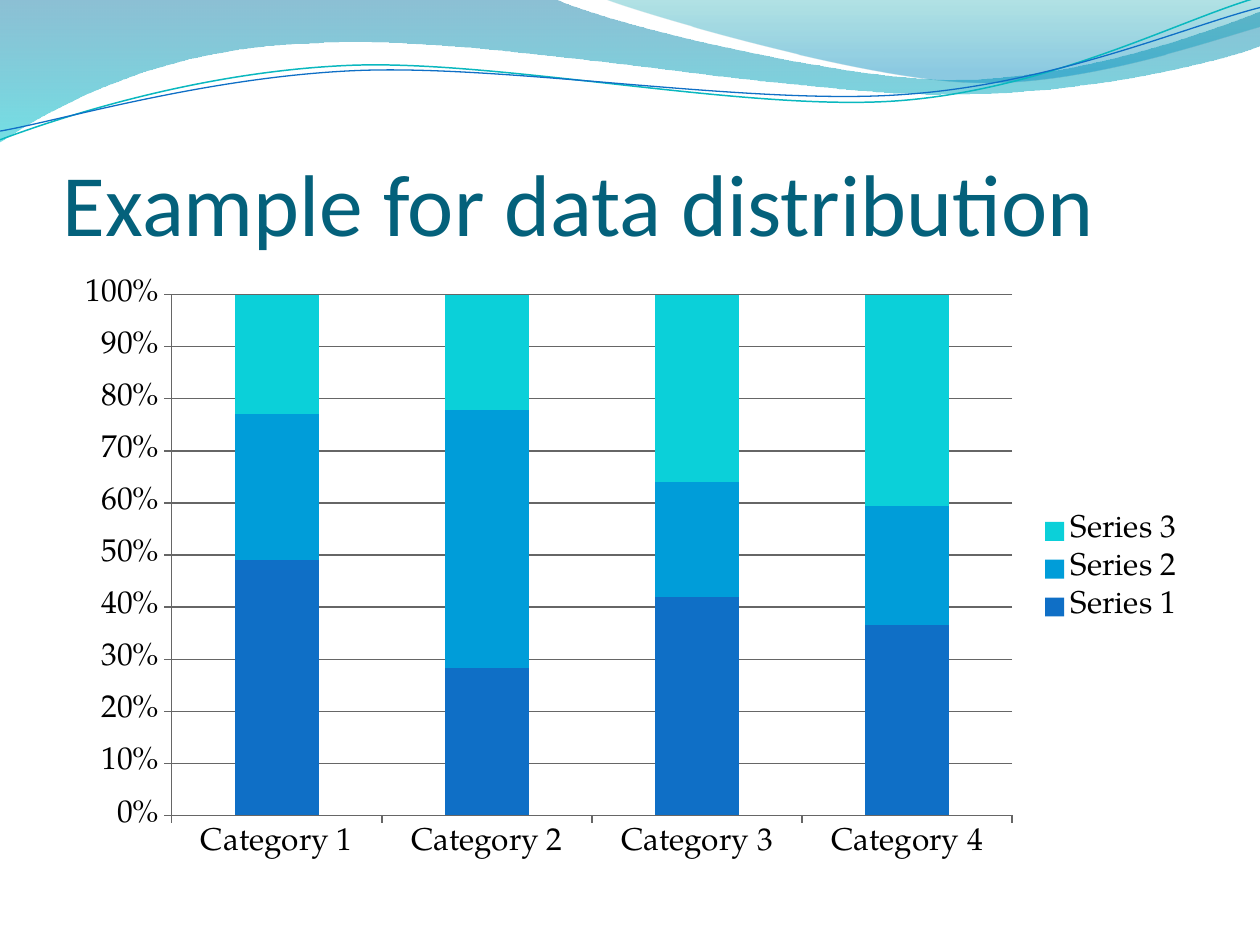
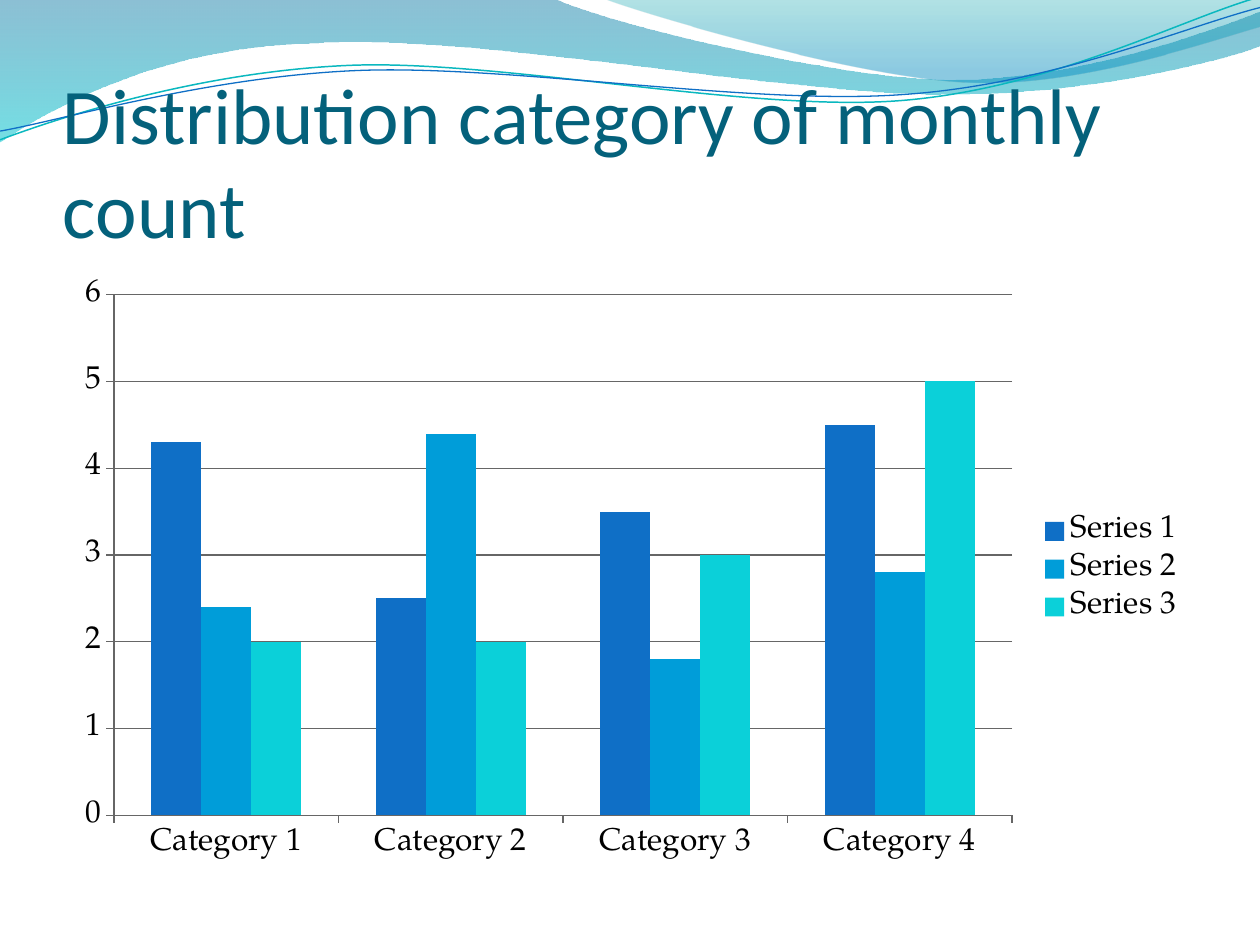
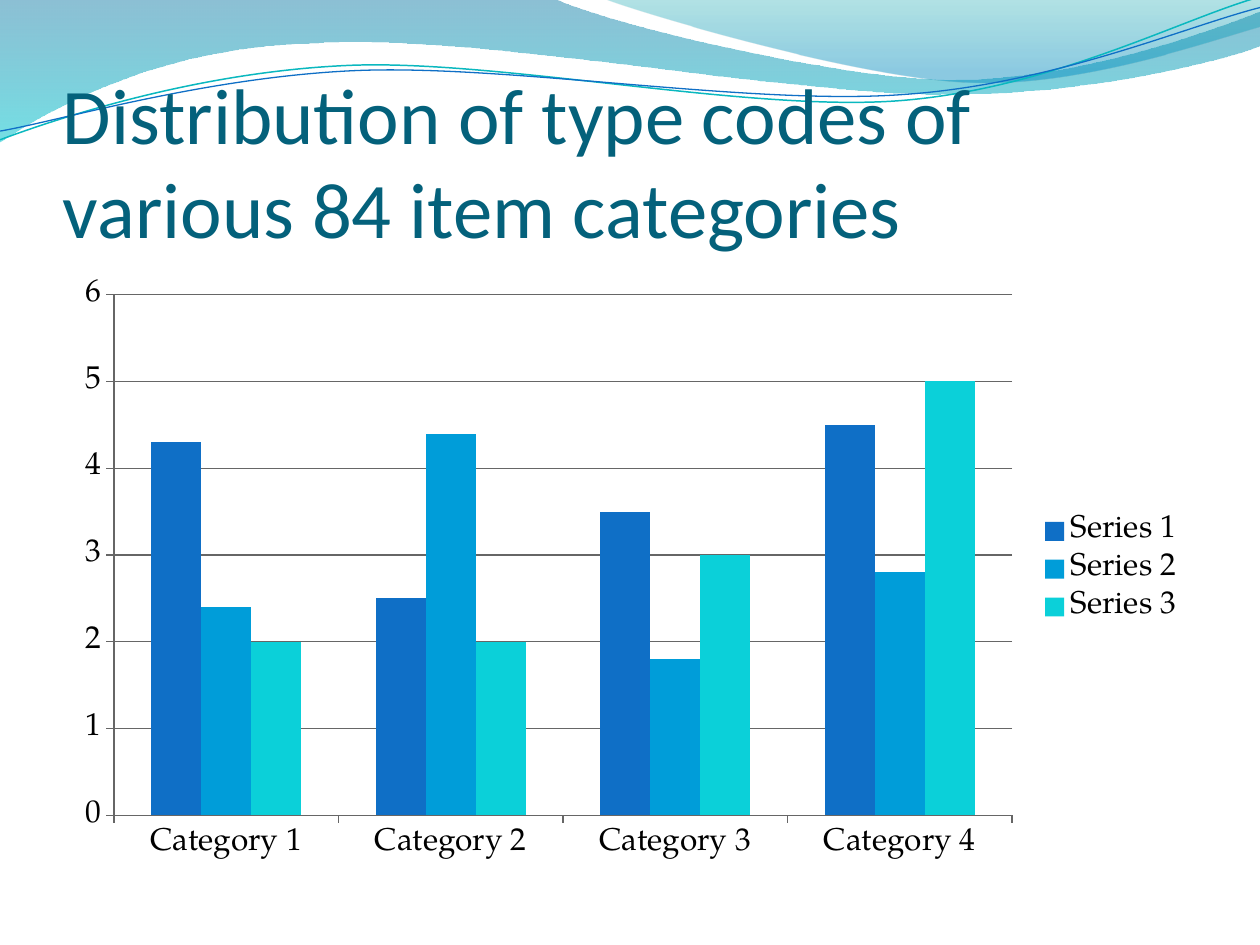
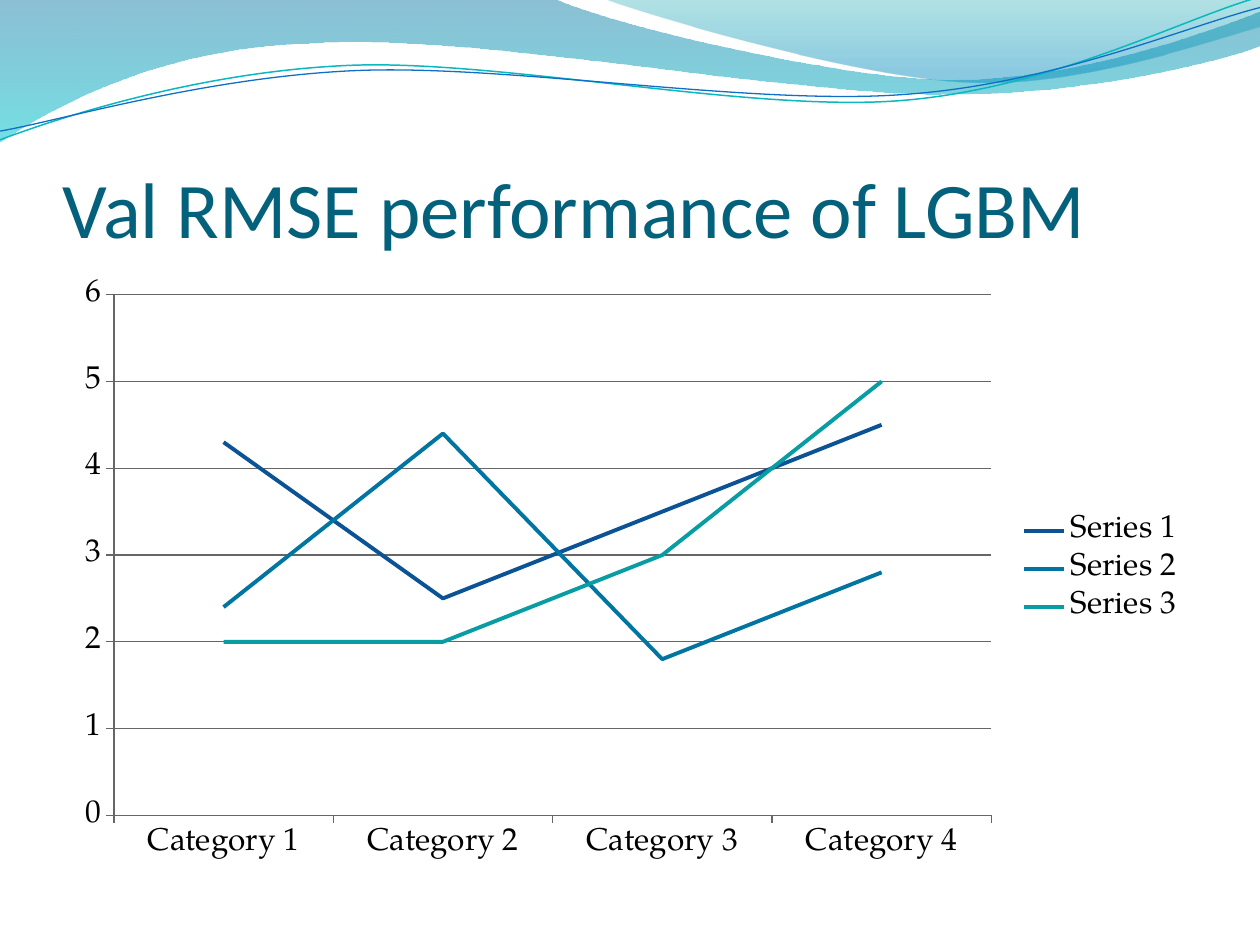
from dataclasses import dataclass

from lxml.etree import SubElement
from pptx import Presentation
from pptx.chart.data import CategoryChartData
from pptx.dml.color import RGBColor
from pptx.enum.chart import XL_CHART_TYPE, XL_LEGEND_POSITION, XL_MARKER_STYLE, XL_TICK_MARK
from pptx.enum.text import MSO_ANCHOR
from pptx.oxml.ns import qn
from pptx.util import Pt


@dataclass(frozen=True)
class Theme:
    """Colours, fonts and sizes shared by all slides."""
    title_font: str = "Calibri"
    chart_font: str = "TeX Gyre Pagella"
    title_color: str = "04617B"
    chart_text: str = "000000"
    axis_color: str = "666666"
    bar_colors: tuple = ("0F6FC6", "009DD9", "0BD0D9")
    line_colors: tuple = ("0B5394", "0075A2", "089CA3")
    large_title: float = 50
    title: float = 45
    chart_size: float = 18
    axis_width: float = 0.75
    series_width: float = 2.25


THEME = Theme()
SLIDE_SIZE = (720, 540)
TITLE_BOX = (36, 55.4, 648, 90)
CHART_BOX = (36, 152.5, 648, 345.5)

CATEGORIES = [f"Category {number}" for number in range(1, 5)]
SHARES = [(49, 28, 42, 37), (28, 49, 22, 23), (23, 22, 36, 41)]
COUNTS = [(4.3, 2.5, 3.5, 4.5), (2.4, 4.4, 1.8, 2.8), (2, 2, 3, 5)]

SLIDES = [
    ("Example for data distribution", THEME.large_title,
     XL_CHART_TYPE.COLUMN_STACKED_100, SHARES),
    ("Distribution category of monthly count", THEME.title,
     XL_CHART_TYPE.COLUMN_CLUSTERED, COUNTS),
    ("Distribution of type codes of various 84 item categories", THEME.title,
     XL_CHART_TYPE.COLUMN_CLUSTERED, COUNTS),
    ("Val RMSE performance of LGBM", THEME.title, XL_CHART_TYPE.LINE, COUNTS),
]

# Outlines: a start point, then segments of one point (straight) or three (curve).
# Gradient stops: position, colour, opacity in percent.
BANDS = [
    {"start": (0, 0),
     "segments": [
         [(316.8, -0.7)],
         [(342.7, 12.2), (478.1, 45.4), (545.8, 45.4)],
         [(614.2, 45.4), (689.8, 18.7), (720, 6.5)],
         [(720.7, 25.9)],
         [(707.8, 31.7), (626.4, 54.7), (537.1, 54)],
         [(447.8, 54), (275, 20.2), (185, 24.5)],
         [(92.9, 25.9), (33.1, 59.8), (-0.7, 81.4)],
         [(0, 0)]],
     "stops": [(0, "0074A1", 45), (1, "00C6CF", 55)]},
    {"start": (344.9, -0.7),
     "segments": [
         [(366.5, 7.9), (491, 44.6), (553.7, 46.8)],
         [(616.3, 49.7), (691.9, 23), (720, 15.1)],
         [(720, 0)],
         [(344.9, -0.7)]],
     "stops": [(0, "00A1A9", 30), (0.8, "008BBF", 45)]},
]
WAVES = [
    {"start": (0, 79.9),
     "segments": [
         [(34.6, 67), (113.8, 41), (199.4, 37.4)],
         [(284.4, 33.8), (427, 64.1), (513.4, 57.6)],
         [(599.8, 51.1), (675.4, 10.8), (718.6, -1.4)]],
     "color": "0AB8BF", "width": 0.85},
    {"start": (0, 74.9),
     "segments": [
         [(33.8, 69.1), (118.1, 43.9), (203.8, 40.3)],
         [(290.2, 36.7), (429.8, 60.5), (516.2, 54)],
         [(601.9, 48.2), (677.5, 15.1), (720, 4.3)]],
     "color": "0F6FC6", "width": 0.75},
]


def rgb(color):
    """Turn a hex string into a colour."""
    return RGBColor.from_string(color)


def bend_segments(shape, segments):
    """Turn each run of three straight steps that belongs to a curve into a Bezier."""
    steps = iter(list(shape._element.iter(qn("a:lnTo"))))
    for segment in segments:
        first, *others = [next(steps) for _ in segment]
        if others:
            curve = first.makeelement(qn("a:cubicBezTo"))
            first.addprevious(curve)
            for step in (first, *others):
                curve.append(step[0])
                step.getparent().remove(step)


def add_outline(slide, start, segments, closed):
    """Draw a freeform through straight and curved segments."""
    points = [start] + [point for segment in segments for point in segment]
    vertices = [(Pt(x), Pt(y)) for x, y in points]
    builder = slide.shapes.build_freeform(*vertices[0])
    builder.add_line_segments(vertices[1:], close=closed)
    shape = builder.convert_to_shape()
    bend_segments(shape, segments)
    shape.shadow.inherit = False
    return shape


def add_band(slide, start, segments, stops):
    """Draw a translucent shape with a gradient from top to bottom."""
    shape = add_outline(slide, start, segments, closed=True)
    shape.line.fill.background()
    shape.fill.gradient()
    shape.fill.gradient_angle = 270
    for stop, (position, color, _) in zip(shape.fill.gradient_stops, stops):
        stop.position = position
        stop.color.rgb = rgb(color)
    for element, (_, _, opacity) in zip(shape._element.iter(qn("a:srgbClr")), stops):
        SubElement(element, qn("a:alpha")).set("val", str(opacity * 1000))
    return shape


def add_wave(slide, start, segments, color, width):
    """Draw a thin open curve."""
    shape = add_outline(slide, start, segments, closed=False)
    shape.fill.background()
    shape.line.color.rgb = rgb(color)
    shape.line.width = Pt(width)
    return shape


def decorate_layout(layout, slide):
    """Draw the header on a slide and move it to the layout all slides share."""
    shapes = [add_band(slide, **band) for band in BANDS]
    shapes += [add_wave(slide, **wave) for wave in WAVES]
    for shape in shapes:
        layout.shapes._spTree.append(shape._element)


def add_text(slide, text, box, *, size, font, color, anchor=MSO_ANCHOR.BOTTOM):
    """Add a wrapped text box in one format."""
    frame = slide.shapes.add_textbox(*map(Pt, box)).text_frame
    frame.word_wrap = True
    frame.vertical_anchor = anchor
    frame.margin_left = frame.margin_right = frame.margin_bottom = 0
    frame.margin_top = Pt(3.6)
    run = frame.paragraphs[0].add_run()
    run.text = text
    run.font.size = Pt(size)
    run.font.name = font
    run.font.color.rgb = rgb(color)


def style_line(line, color, width):
    """Set the colour and width of a chart line."""
    line.color.rgb = rgb(color)
    line.width = Pt(width)


def add_data_chart(slide, kind, rows):
    """Add a column or line chart with its legend at the right."""
    data = CategoryChartData()
    data.categories = CATEGORIES
    for number, values in enumerate(rows, 1):
        data.add_series(f"Series {number}", values)
    chart = slide.shapes.add_chart(kind, *map(Pt, CHART_BOX), data).chart
    chart.has_title = False
    chart.font.size = Pt(THEME.chart_size)
    chart.font.name = THEME.chart_font
    chart.font.color.rgb = rgb(THEME.chart_text)
    chart.has_legend = True
    chart.legend.position = XL_LEGEND_POSITION.RIGHT
    chart.legend.include_in_layout = False

    for axis in (chart.category_axis, chart.value_axis):
        axis.major_tick_mark = XL_TICK_MARK.OUTSIDE
        style_line(axis.format.line, THEME.axis_color, THEME.axis_width)
    chart.value_axis.has_major_gridlines = True
    style_line(chart.value_axis.major_gridlines.format.line,
               THEME.axis_color, THEME.axis_width)
    stacked = kind == XL_CHART_TYPE.COLUMN_STACKED_100
    labels = chart.value_axis.tick_labels
    labels.number_format = "0%" if stacked else "General"
    labels.number_format_is_linked = False

    plot = chart.plots[0]
    plot.vary_by_categories = False
    if kind == XL_CHART_TYPE.LINE:
        for series, color in zip(plot.series, THEME.line_colors):
            series.smooth = False
            series.marker.style = XL_MARKER_STYLE.NONE
            style_line(series.format.line, color, THEME.series_width)
    else:
        plot.gap_width = 150
        plot.overlap = 100 if stacked else 0
        for series, color in zip(plot.series, THEME.bar_colors):
            series.format.fill.solid()
            series.format.fill.fore_color.rgb = rgb(color)


def build():
    """Build and save the presentation."""
    presentation = Presentation()
    presentation.slide_width, presentation.slide_height = map(Pt, SLIDE_SIZE)
    blank = presentation.slide_layouts[6]
    for index, (title, size, kind, rows) in enumerate(SLIDES):
        slide = presentation.slides.add_slide(blank)
        if index == 0:
            decorate_layout(blank, slide)
        add_text(slide, title, TITLE_BOX, size=size,
                 font=THEME.title_font, color=THEME.title_color)
        add_data_chart(slide, kind, rows)
    presentation.save("out.pptx")


build()
